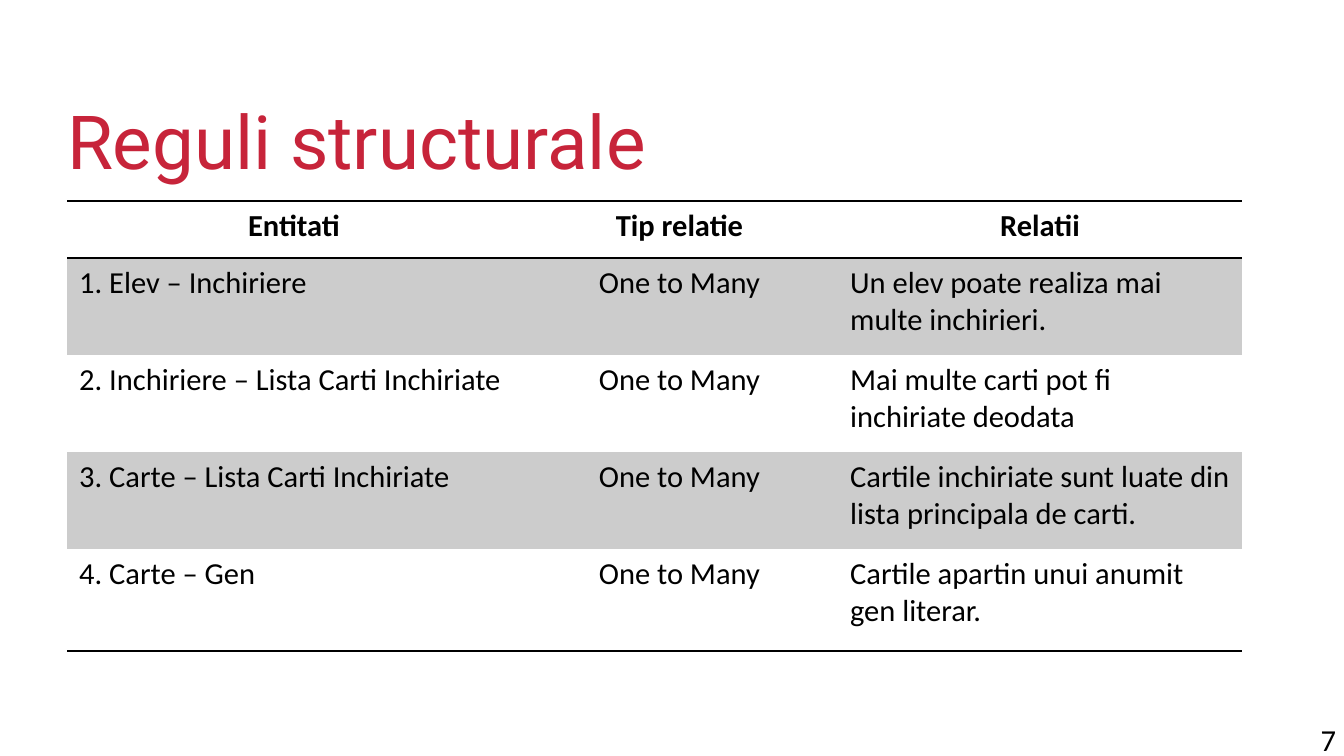
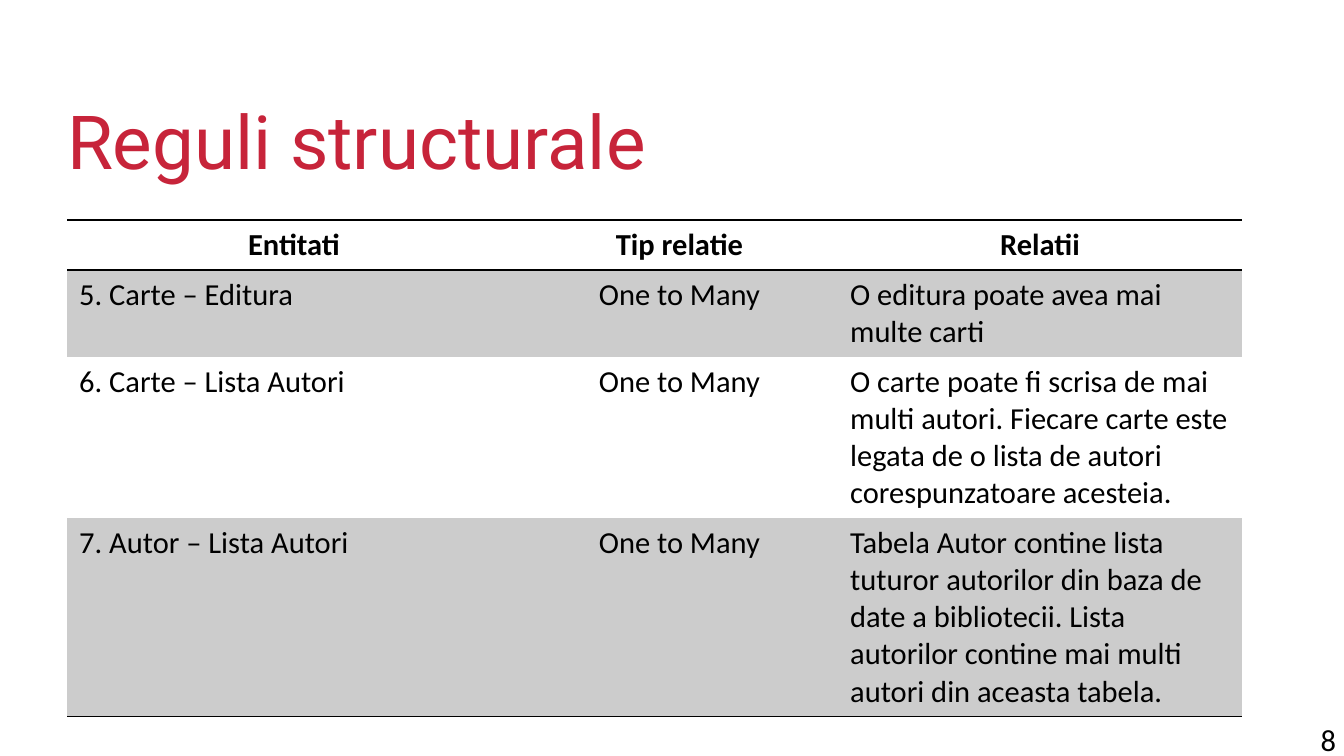
from dataclasses import dataclass

from lxml import etree
from pptx import Presentation
from pptx.dml.color import RGBColor
from pptx.enum.text import MSO_ANCHOR, MSO_AUTO_SIZE, PP_ALIGN
from pptx.oxml.ns import qn
from pptx.util import Pt

LEFT, CENTER, RIGHT = PP_ALIGN.LEFT, PP_ALIGN.CENTER, PP_ALIGN.RIGHT
MIDDLE, TOP = MSO_ANCHOR.MIDDLE, MSO_ANCHOR.TOP
NO_AUTOFIT = MSO_AUTO_SIZE.NONE
TITLE_ONLY = 5
PLAIN_TABLE_STYLE = "{2D5ABB26-0587-4C30-8999-92F81FD0307C}"
EMU_PER_PX = 7495


@dataclass(frozen=True)
class Theme:
    title_color: RGBColor = RGBColor(0xC7, 0x24, 0x3A)
    text_color: RGBColor = RGBColor(0, 0, 0)
    band_color: RGBColor = RGBColor(0xCC, 0xCC, 0xCC)
    title_font: str = "Roboto"
    body_font: str = "Calibri"
    title_size: int = 44
    body_size: int = 18


THEME = Theme()


def px(*lengths):
    return [length * EMU_PER_PX for length in lengths]


def style_paragraph(paragraph, alignment, name, size, color, bold=False):
    paragraph.alignment = alignment
    font = paragraph.font
    font.name, font.size, font.bold = name, Pt(size), bold
    font.color.rgb = color


# Content
TITLE = "Reguli structurale"
HEADERS = ("Entitati", "Tip relatie", "Relatii")
RELATION_TYPE = "One to Many"
COLUMN_WIDTHS = px(454, 317, 404)
PAGES = [
    {
        "number": 7, "table_top": 201, "row_heights": (57, 97, 97, 97, 102),
        "rules": [
            ("1. Elev – Inchiriere", "Un elev poate realiza mai multe inchirieri."),
            ("2. Inchiriere – Lista Carti Inchiriate",
             "Mai multe carti pot fi inchiriate deodata"),
            ("3. Carte – Lista Carti Inchiriate",
             "Cartile inchiriate sunt luate din lista principala de carti."),
            ("4. Carte – Gen", "Cartile apartin unui anumit gen literar."),
        ],
    },
    {
        "number": 8, "table_top": 220, "row_heights": (50, 87, 161, 198),
        "rules": [
            ("5. Carte – Editura", "O editura poate avea mai multe carti"),
            ("6. Carte – Lista Autori",
             "O carte poate fi scrisa de mai multi autori. Fiecare carte este "
             "legata de o lista de autori corespunzatoare acesteia."),
            ("7. Autor – Lista Autori",
             "Tabela Autor contine lista tuturor autorilor din baza de date a "
             "bibliotecii. Lista autorilor contine mai multi autori din aceasta tabela."),
        ],
    },
]

presentation = Presentation()
presentation.slide_width, presentation.slide_height = px(1344, 756)

for page in PAGES:
    slide = presentation.slides.add_slide(presentation.slide_layouts[TITLE_ONLY])

    # Title and page number
    title = slide.shapes.title
    title.left, title.top, title.width, title.height = px(67, 76, 1210, 127)
    number = slide.shapes.add_textbox(*px(1022, 721, 314, 52))
    for shape, text, anchor, style in (
        (title, TITLE, MIDDLE,
         (LEFT, THEME.title_font, THEME.title_size, THEME.title_color)),
        (number, str(page["number"]), TOP,
         (RIGHT, THEME.body_font, THEME.body_size, THEME.text_color)),
    ):
        frame = shape.text_frame
        frame.text = text
        frame.word_wrap = True
        frame.auto_size = NO_AUTOFIT
        frame.vertical_anchor = anchor
        frame.margin_left = frame.margin_top = frame.margin_right = frame.margin_bottom = 0
        style_paragraph(frame.paragraphs[0], *style)

    # Table grid
    rows = [HEADERS] + [(pair, RELATION_TYPE, rule) for pair, rule in page["rules"]]
    heights = px(*page["row_heights"])
    left, top = px(67, page["table_top"])
    table_frame = slide.shapes.add_table(
        len(rows), len(HEADERS), left, top, sum(COLUMN_WIDTHS), sum(heights))
    table = table_frame.table
    table._tbl.tblPr.find(qn("a:tableStyleId")).text = PLAIN_TABLE_STYLE
    table.first_row = table.horz_banding = False
    for column, width in zip(table.columns, COLUMN_WIDTHS):
        column.width = width

    # Table cells: ruled header, grey odd rows, ruled last row
    for row_index, texts in enumerate(rows):
        table.rows[row_index].height = heights[row_index]
        is_header = row_index == 0
        is_last = row_index == len(rows) - 1
        for column_index, text in enumerate(texts):
            cell = table.cell(row_index, column_index)
            cell.text = text
            alignment = CENTER if is_header or column_index == 1 else LEFT
            style_paragraph(cell.text_frame.paragraphs[0], alignment, THEME.body_font,
                            THEME.body_size, THEME.text_color, is_header)

            properties = cell._tc.get_or_add_tcPr()
            for tag, wanted in (("a:lnT", is_header), ("a:lnB", is_header or is_last)):
                if wanted:
                    line = etree.SubElement(properties, qn(tag), w=str(Pt(1)))
                    line_fill = etree.SubElement(line, qn("a:solidFill"))
                    etree.SubElement(line_fill, qn("a:srgbClr"), val=str(THEME.text_color))

            if row_index % 2:
                cell.fill.solid()
                cell.fill.fore_color.rgb = THEME.band_color
            else:
                cell.fill.background()

presentation.save("out.pptx")
